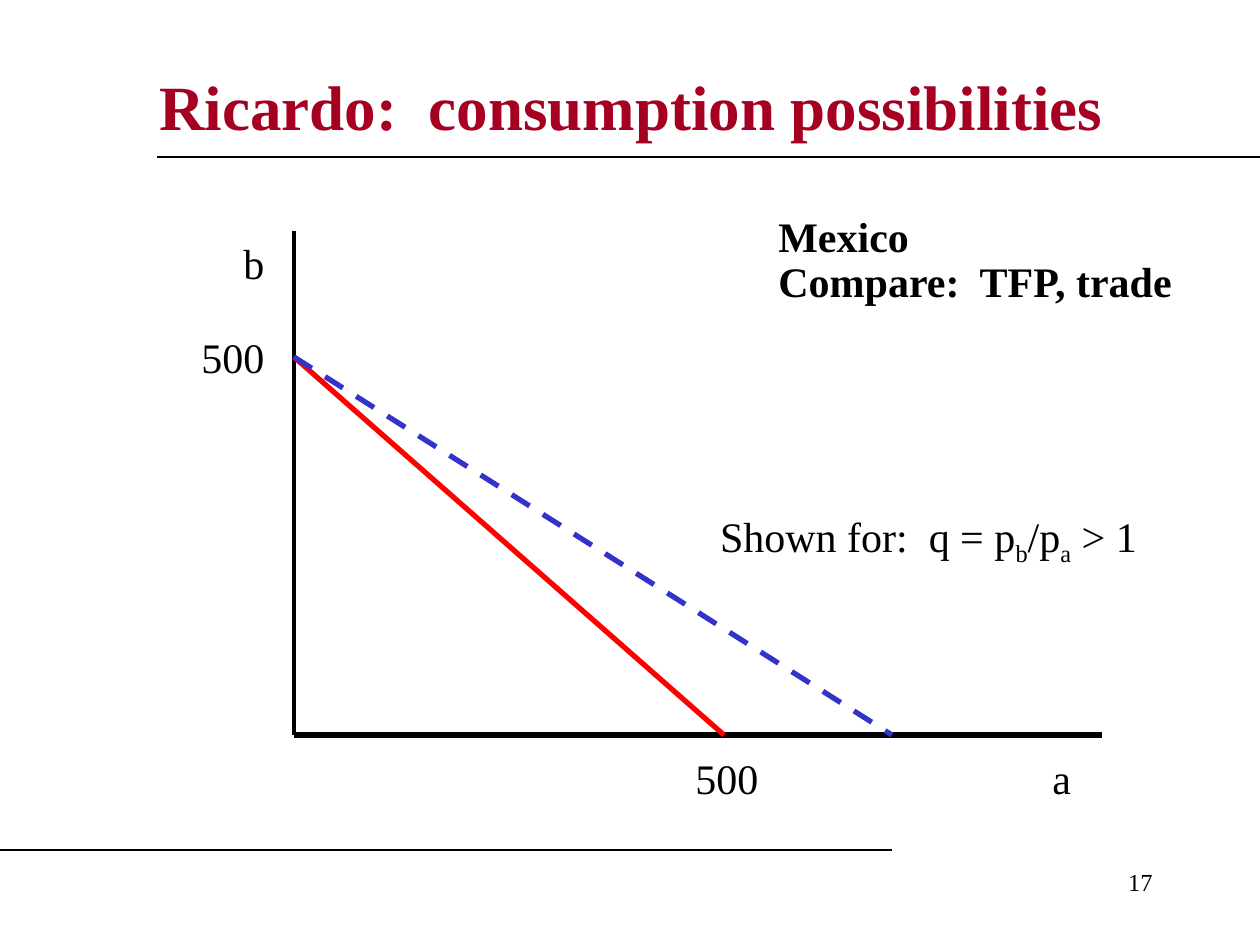
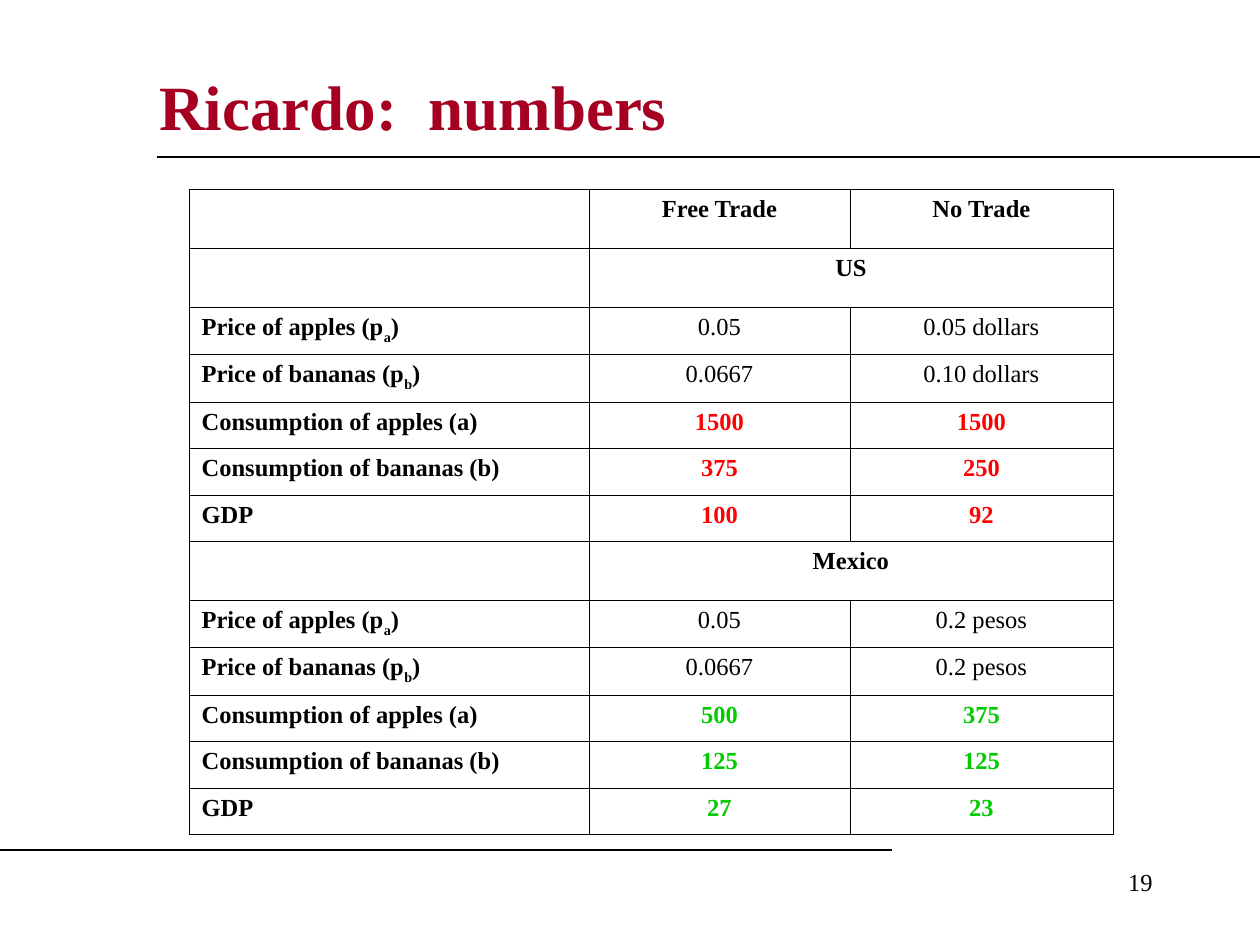
from lxml.etree import SubElement
from pptx import Presentation
from pptx.dml.color import RGBColor
from pptx.enum.dml import MSO_LINE
from pptx.enum.shapes import MSO_CONNECTOR
from pptx.enum.text import MSO_ANCHOR, PP_ALIGN
from pptx.oxml.ns import qn
from pptx.util import Emu, Pt

COLORS = {"title": "A50021", "ink": "000000", "paper": "FFFFFF", "red": "FF0000",
          "blue": "3333CC", "green": "00CC00"}
FONT = "Times New Roman"
PX = 914400 / 126


def write(frame, lines, size, color="ink", bold=False, align=PP_ALIGN.LEFT, spacing=None, drop=-25):
    """Fill a text frame; text between bars is set as a subscript."""
    for number, line in enumerate(lines):
        paragraph = frame.add_paragraph() if number else frame.paragraphs[0]
        paragraph.alignment = align
        if spacing:
            paragraph.line_spacing = spacing
        paragraph.font.name = FONT
        paragraph.font.size = Pt(size)
        paragraph.font.bold = bold
        paragraph.font.color.rgb = RGBColor.from_string(COLORS[color])
        for position, part in enumerate(line.split("|")):
            run = paragraph.add_run()
            run.text = part
            if position % 2:
                run._r.get_or_add_rPr().set("baseline", str(drop * 1000))


def draw_line(slide, start_x, start_y, end_x, end_y, width, color="ink", dash=None):
    ends = [Emu(round(value * PX)) for value in (start_x, start_y, end_x, end_y)]
    connector = slide.shapes.add_connector(MSO_CONNECTOR.STRAIGHT, *ends)
    connector.line.width = Pt(width)
    connector.line.color.rgb = RGBColor.from_string(COLORS[color])
    if dash:
        connector.line.dash_style = dash
    SubElement(connector._element.spPr, qn("a:effectLst"))


presentation = Presentation()
presentation.slide_width = Emu(round(1260 * PX))
presentation.slide_height = Emu(round(945 * PX))

# Shared frame: title, rules and slide number
slides = []
for title, number in [("Ricardo:  consumption possibilities", "17"), ("Ricardo:  numbers", "19")]:
    slide = presentation.slides.add_slide(presentation.slide_layouts[6])
    slides.append(slide)
    for text, box, size, color, bold, align, anchor in [
        (number, (903, 861, 262, 63), 14, "ink", False, PP_ALIGN.RIGHT, MSO_ANCHOR.TOP),
        (title, (147, 58, 1018, 94), 36, "title", True, PP_ALIGN.LEFT, MSO_ANCHOR.MIDDLE),
    ]:
        shape = slide.shapes.add_textbox(*[Emu(round(value * PX)) for value in box])
        shape.text_frame.word_wrap = True
        shape.text_frame.vertical_anchor = anchor
        write(shape.text_frame, [text], size, color, bold, align)
    draw_line(slide, 157, 157, 1260, 157, 0.75)
    draw_line(slide, 0, 850, 892, 850, 0.75)

diagram_slide, numbers_slide = slides

# Axes, production frontier and consumption line
origin_x, origin_y = 294, 735
intercept_y = 357
draw_line(diagram_slide, origin_x, 231, origin_x, origin_y, 2.25)
draw_line(diagram_slide, origin_x, origin_y, 1102, origin_y, 3)
draw_line(diagram_slide, origin_x, intercept_y, 724, origin_y, 3, "red")
draw_line(diagram_slide, origin_x, intercept_y, 892, origin_y, 3, "blue", MSO_LINE.DASH)

# Diagram labels
for lines, box, bold, align, spacing in [
    (["b"], (231, 231, 53, 63), False, PP_ALIGN.LEFT, None),
    (["a"], (1040, 746, 63, 63), False, PP_ALIGN.LEFT, None),
    (["500"], (683, 746, 94, 63), False, PP_ALIGN.LEFT, None),
    (["500"], (189, 325, 94, 63), False, PP_ALIGN.LEFT, None),
    (["Shown for:  q = p|b|/p|a| > 1"], (703, 504, 451, 71), False, PP_ALIGN.CENTER, None),
    (["Mexico", "Compare:  TFP, trade"], (766, 210, 451, 103), True, PP_ALIGN.LEFT, 0.9),
]:
    shape = diagram_slide.shapes.add_textbox(*[Emu(round(value * PX)) for value in box])
    shape.text_frame.word_wrap = True
    write(shape.text_frame, lines, 24, bold=bold, align=align, spacing=spacing)

# Table contents: each country has a heading, two prices and three results
measures = ["Price of apples (p|a|)", "Price of bananas (p|b|)", "Consumption of apples (a)",
            "Consumption of bananas (b)", "GDP"]
countries = [
    ("US", "red", [("0.05", "0.05 dollars"), ("0.0667", "0.10 dollars"),
                   ("1500", "1500"), ("375", "250"), ("100", "92")]),
    ("Mexico", "green", [("0.05", "0.2 pesos"), ("0.0667", "0.2 pesos"),
                         ("500", "375"), ("125", "125"), ("27", "23")]),
]
column_widths = [400, 261, 263]
measure_heights = [47, 48, 46, 47, 46]
row_heights = [59] + (([59] + measure_heights) * len(countries))

table_box = (189, 189, sum(column_widths), sum(row_heights))
table = numbers_slide.shapes.add_table(
    len(row_heights), len(column_widths), *[Emu(round(value * PX)) for value in table_box]).table
table.first_row = False
table.horz_banding = False
for column, width in zip(table.columns, column_widths):
    column.width = Emu(round(width * PX))
for row, height in zip(table.rows, row_heights):
    row.height = Emu(round(height * PX))

# Cell borders and fill
for cell in table.iter_cells():
    properties = cell._tc.get_or_add_tcPr()
    for side in ("a:lnL", "a:lnR", "a:lnT", "a:lnB"):
        border = SubElement(properties, qn(side), w=str(Pt(0.45)))
        fill = SubElement(border, qn("a:solidFill"))
        SubElement(fill, qn("a:srgbClr"), val=COLORS["ink"])
    cell.fill.solid()
    cell.fill.fore_color.rgb = RGBColor.from_string(COLORS["paper"])

# Table text
for column, heading in enumerate(["Free Trade", "No Trade"], start=1):
    write(table.cell(0, column).text_frame, [heading], 14, bold=True, align=PP_ALIGN.CENTER)
for index, (country, result_color, values) in enumerate(countries):
    top = 1 + index * (1 + len(measures))
    table.cell(top, 1).merge(table.cell(top, 2))
    write(table.cell(top, 1).text_frame, [country], 14, bold=True, align=PP_ALIGN.CENTER)
    for offset, (measure, pair) in enumerate(zip(measures, values)):
        row = top + 1 + offset
        is_result = offset >= 2
        write(table.cell(row, 0).text_frame, [measure], 14, bold=True, drop=-30)
        for column, value in enumerate(pair, start=1):
            write(table.cell(row, column).text_frame, [value], 14,
                  result_color if is_result else "ink", is_result, PP_ALIGN.CENTER)

presentation.save("out.pptx")
